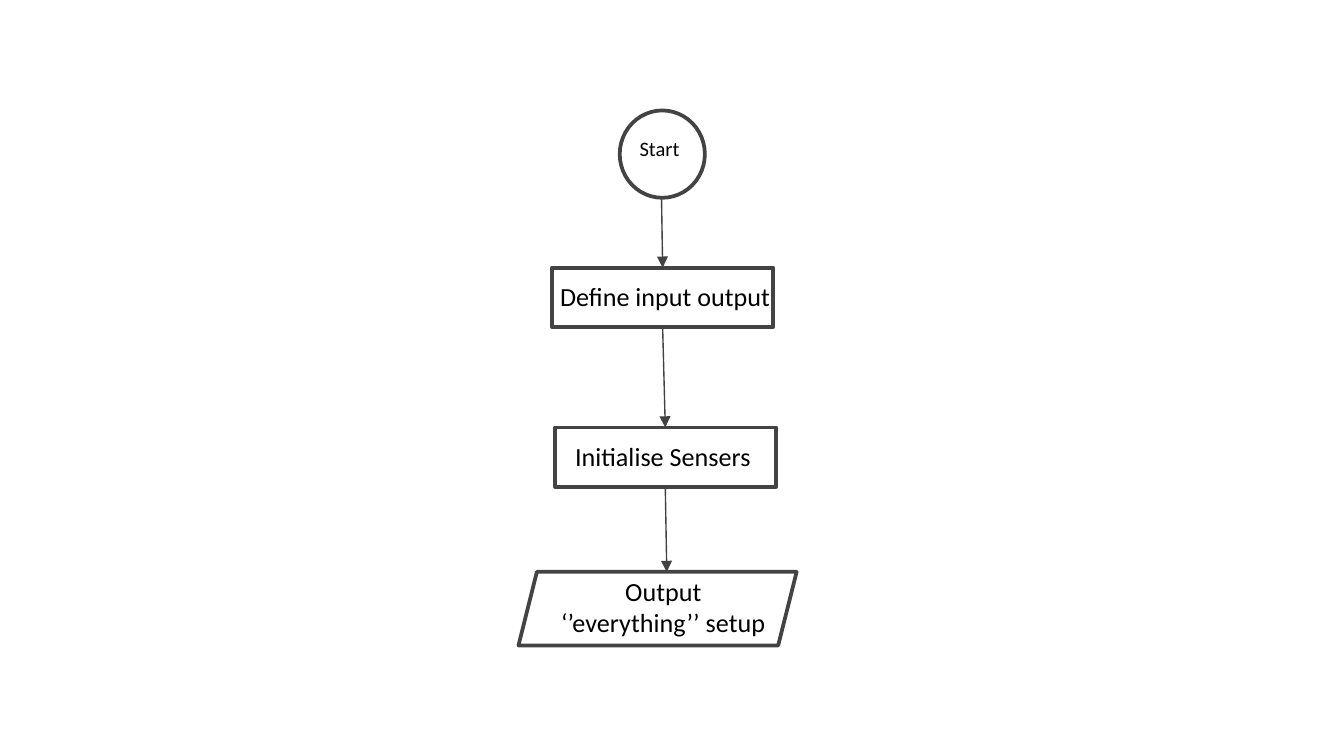
from lxml.etree import SubElement
from pptx import Presentation
from pptx.dml.color import RGBColor
from pptx.enum.shapes import MSO_CONNECTOR, MSO_SHAPE
from pptx.enum.text import PP_ALIGN
from pptx.oxml.ns import qn
from pptx.util import Pt


def color(value):
    return RGBColor.from_string(value)


def add_label(text, left, top, width, height, size=14, align=PP_ALIGN.LEFT):
    tf = s.shapes.add_textbox(Pt(left), Pt(top), Pt(width), Pt(height)).text_frame
    tf.word_wrap = True
    p = tf.paragraphs[0]
    p.alignment = align
    r = p.add_run()
    r.text = text
    r.font.size = Pt(size)
    r.font.name = "Calibri"
    r.font.color.rgb = color("000000")


prs = Presentation()
prs.slide_width, prs.slide_height = Pt(720), Pt(405)
s = prs.slides.add_slide(prs.slide_layouts[6])

steps = [
    (MSO_SHAPE.OVAL, 332, 59.2, 45.6, 46.8),
    (MSO_SHAPE.RECTANGLE, 295.8, 143.4, 118.4, 31.8),
    (MSO_SHAPE.RECTANGLE, 297.4, 229, 118.4, 31.8),
    (MSO_SHAPE.PARALLELOGRAM, 277.8, 306.4, 149, 39.4),
]
for kind, left, top, width, height in steps:
    sp = s.shapes.add_shape(kind, Pt(left), Pt(top), Pt(width), Pt(height))
    sp.shadow.inherit = False
    sp.fill.background()
    sp.line.color.rgb = color("434343")
    sp.line.width = Pt(2)

arrow_x = [354.4, 355, 356.4, 357.2]
for i, (upper, lower) in enumerate(zip(steps, steps[1:])):
    bottom = upper[2] + upper[4]
    cx = s.shapes.add_connector(MSO_CONNECTOR.STRAIGHT, Pt(arrow_x[i]), Pt(bottom),
                                Pt(arrow_x[i + 1]), Pt(lower[2]))
    cx.line.color.rgb = color("424242")
    cx.line.width = Pt(0.75)
    SubElement(cx.line._get_or_add_ln(), qn("a:tailEnd"), type="triangle")
    SubElement(cx._element.spPr, qn("a:effectLst"))

add_label("Start", 335.5, 69.1, 41.8, 20.9, size=11)
add_label("Define input output", 293, 146.9, 149, 24.5)
add_label("Initialise Sensers", 301, 232.6, 113, 24.5)
add_label("Output ‘’everything’’ setup", 290.9, 304.6, 128.9, 41, align=PP_ALIGN.CENTER)

prs.save("out.pptx")
